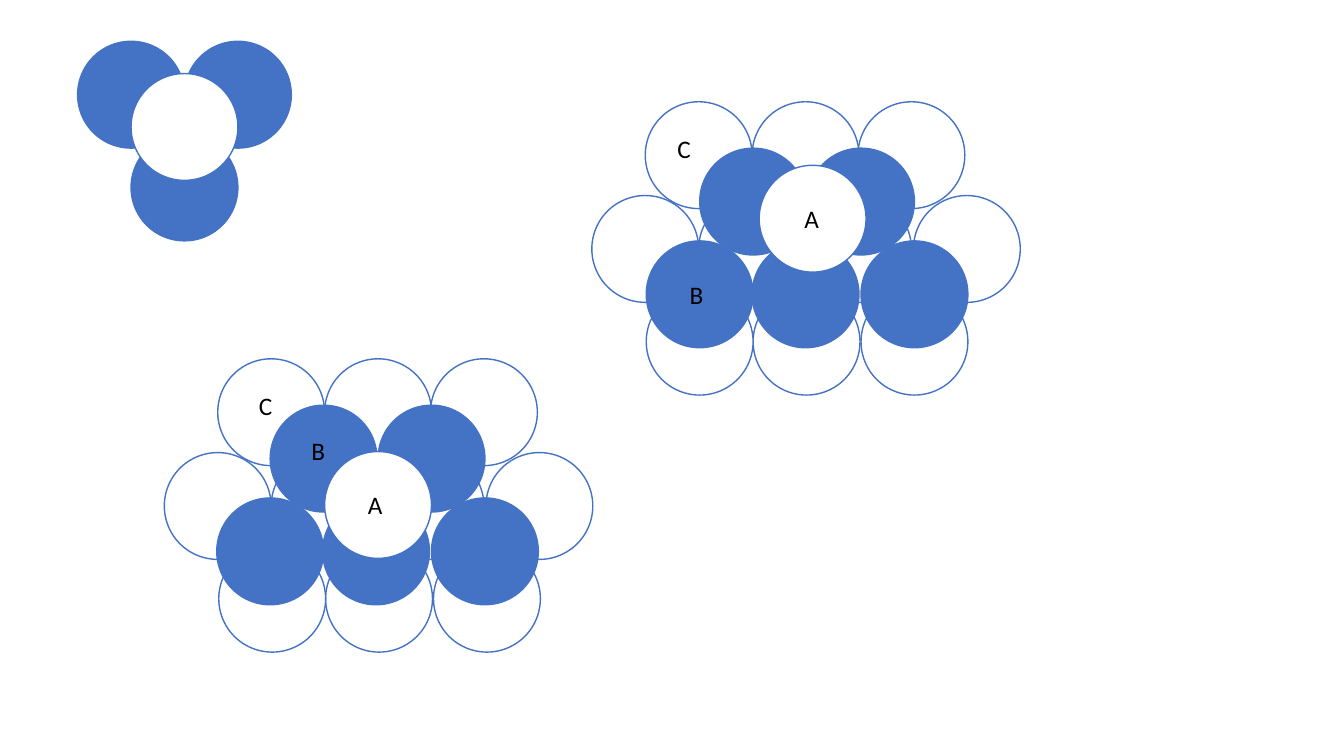
from dataclasses import dataclass

from pptx import Presentation
from pptx.dml.color import RGBColor
from pptx.enum.shapes import MSO_SHAPE
from pptx.enum.text import MSO_AUTO_SIZE
from pptx.util import Pt

OVAL = MSO_SHAPE.OVAL
GROW = MSO_AUTO_SIZE.SHAPE_TO_FIT_TEXT
EMU_PER_PX = 9144  # 100 px to the inch
BLANK_LAYOUT = 6


@dataclass(frozen=True)
class Theme:
    blue: str = "4472C4"
    white: str = "FFFFFF"
    ink: str = "000000"
    font: str = "Calibri"
    label_size: int = 18
    outline: int = 1


def px(length):
    return length * EMU_PER_PX


def write(frame, text, *, font, size, color):
    run = frame.paragraphs[0].add_run()
    run.text = text
    run.font.name = font
    run.font.size = Pt(size)
    run.font.color.rgb = RGBColor.from_string(color)


class PackingSlide:
    SPHERE = 106

    def __init__(self, deck, theme):
        self.theme = theme
        self.slide = deck.slides.add_slide(deck.slide_layouts[BLANK_LAYOUT])

    def sphere(self, parent, left, top, color):
        ball = parent.shapes.add_shape(
            OVAL, px(left), px(top), px(self.SPHERE), px(self.SPHERE))
        ball.shadow.inherit = False
        ball.fill.solid()
        ball.fill.fore_color.rgb = RGBColor.from_string(color)
        ball.line.color.rgb = RGBColor.from_string(self.theme.blue)
        ball.line.width = Pt(self.theme.outline)

    def layer(self, parent, left, top, rows, color):
        for row_top, offsets in rows:
            for offset in offsets:
                self.sphere(parent, left + offset, top + row_top, color)

    def stack(self, left, top, b_shift, a_offset):
        """Three close-packed layers, drawn from C at the back to A in front."""
        group = self.slide.shapes.add_group_shape()
        self.layer(group, left, top, LAYER_C, self.theme.white)
        self.layer(group, left + b_shift, top, LAYER_B, self.theme.blue)
        self.sphere(group, left + a_offset[0], top + a_offset[1], self.theme.white)

    def label(self, text, left, top):
        box = self.slide.shapes.add_textbox(px(left), px(top), px(38), px(40))
        box.text_frame.word_wrap = True
        box.text_frame.auto_size = GROW
        write(box.text_frame, text, font=self.theme.font,
              size=self.theme.label_size, color=self.theme.ink)


# Rows of each layer: top, then the left edge of every sphere
LAYER_C = [(185, (267, 160, 54)), (93, (0, 106, 211)),
           (0, (264, 159, 53)), (93, (319,))]
LAYER_B = [(138, (54, 159)), (46, (214, 107)), (138, (267,))]
TRIO = [(92, (53,)), (0, (106, 0))]

LABELS = [("A", 788, 197), ("A", 355, 481), ("B", 674, 272),
          ("B", 299, 427), ("C", 662, 127), ("C", 247, 382)]


def main():
    deck = Presentation()
    deck.slide_width, deck.slide_height = px(1333), px(750)
    theme = Theme()
    packing = PackingSlide(deck, theme)

    # One sphere resting on three
    packing.layer(packing.slide, 77, 41, TRIO, theme.blue)
    packing.sphere(packing.slide, 130, 73, theme.white)

    # The two stacking sequences
    packing.stack(587, 101, b_shift=0, a_offset=(166, 63))
    packing.stack(163, 356, b_shift=-2, a_offset=(159, 92))

    # Layer letters
    for letter, left, top in LABELS:
        packing.label(letter, left, top)

    deck.save("out.pptx")


if __name__ == "__main__":
    main()
